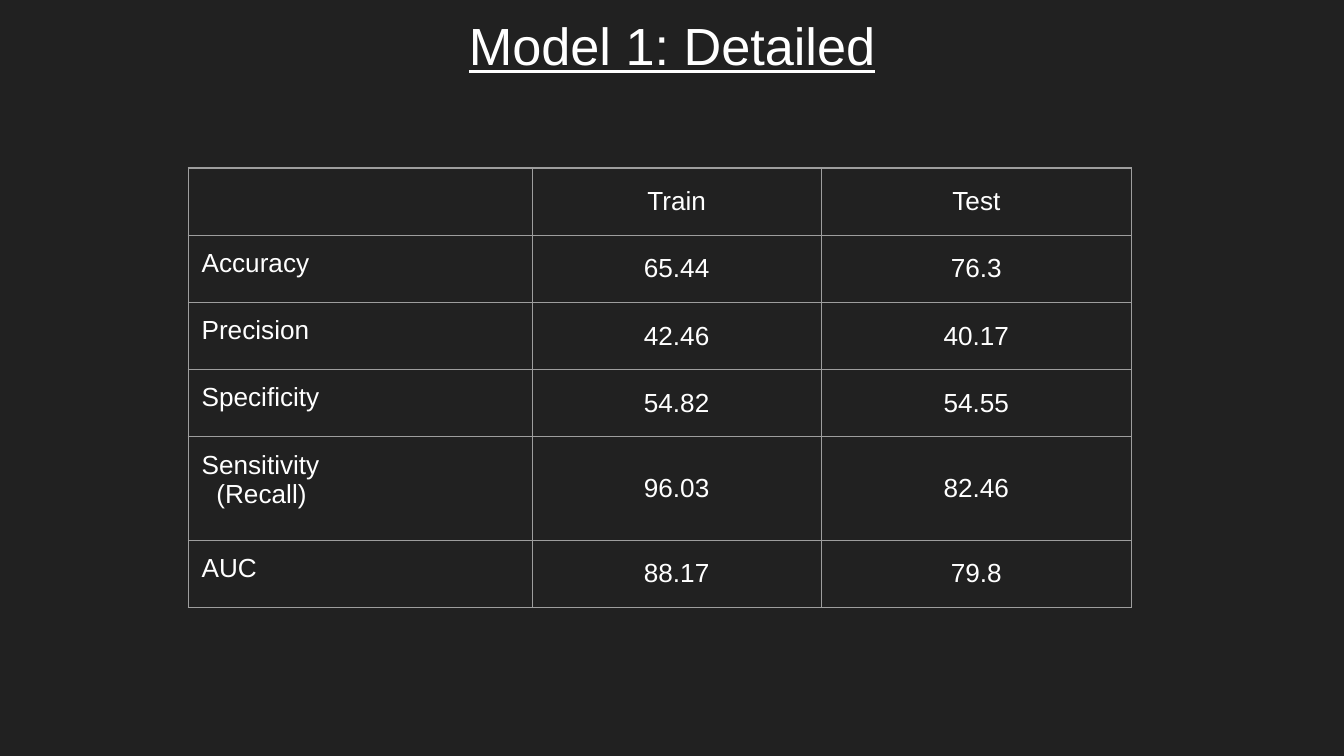
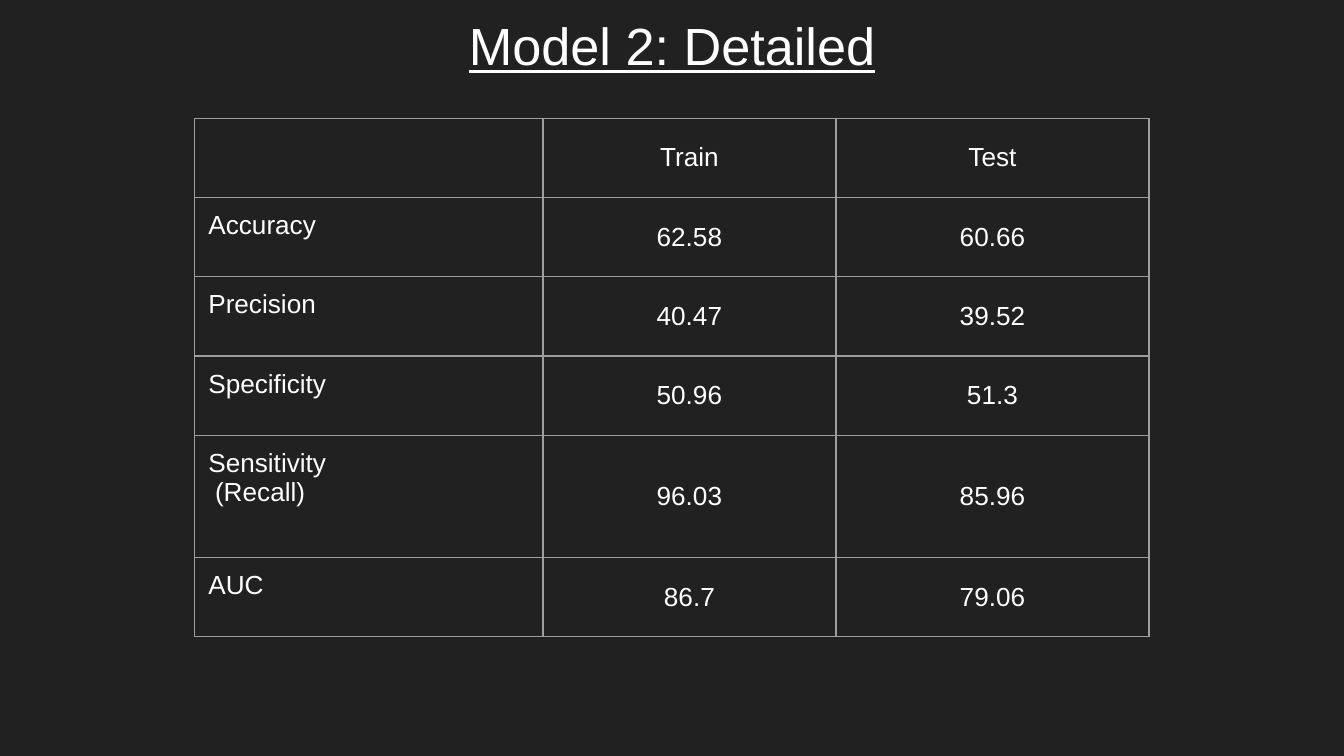
from lxml import etree
from pptx import Presentation
from pptx.dml.color import RGBColor
from pptx.enum.text import MSO_ANCHOR, PP_ALIGN
from pptx.oxml.ns import qn
from pptx.util import Inches, Pt

CENTER, LEFT = PP_ALIGN.CENTER, PP_ALIGN.LEFT
TOP, MIDDLE = MSO_ANCHOR.TOP, MSO_ANCHOR.MIDDLE

SLIDE_WIDTH = Inches(10)
SLIDE_HEIGHT = SLIDE_WIDTH * 9 // 16
FONT = "Arial"
BACKGROUND = "212121"
TEXT_COLOR = "FFFFFF"
BORDER_COLOR = "9E9E9E"
BORDER_WIDTH = 0.75
BORDER_SIDES = ("a:lnL", "a:lnR", "a:lnT", "a:lnB")
INSET = Inches(0.1)

METRICS = ("Accuracy", "Precision", "Specificity", "Sensitivity\n(Recall)", "AUC")
HEADINGS = ("", "Train", "Test")

MODELS = (
    {
        "title": "Model 1: Detailed",
        "origin": (1.4, 1.25),
        "columns": (2.56, 2.15, 2.31),
        "row": 0.5,
        "recall_row": 0.77,
        "recall_indent": 0.11,
        "train": ("65.44", "42.46", "54.82", "96.03", "88.17"),
        "test": ("76.3", "40.17", "54.55", "82.46", "79.8"),
    },
    {
        "title": "Model 2: Detailed",
        "origin": (1.45, 0.88),
        "columns": (2.59, 2.18, 2.33),
        "row": 0.59,
        "recall_row": 0.91,
        "recall_indent": 0.05,
        "train": ("62.58", "40.47", "50.96", "96.03", "86.7"),
        "test": ("60.66", "39.52", "51.3", "85.96", "79.06"),
    },
)


def rgb(value):
    return RGBColor.from_string(value)


def add_run(paragraph, text, size, underline=False):
    run = paragraph.add_run()
    run.text = text
    run.font.name = FONT
    run.font.size = Pt(size)
    run.font.color.rgb = rgb(TEXT_COLOR)
    if underline:
        run.font.underline = True


def set_insets(holder):
    holder.margin_left = holder.margin_right = INSET
    holder.margin_top = holder.margin_bottom = INSET


def add_title(slide, title):
    frame = slide.shapes.add_textbox(0, 0, SLIDE_WIDTH, Inches(0.63)).text_frame
    frame.word_wrap = True
    frame.vertical_anchor = TOP
    set_insets(frame)
    heading = frame.paragraphs[0]
    heading.alignment = CENTER
    add_run(heading, title, 28, underline=True)


def set_borders(cell):
    properties = cell._tc.get_or_add_tcPr()
    for position, side in enumerate(BORDER_SIDES):
        border = etree.Element(qn(side), w=str(Pt(BORDER_WIDTH)))
        fill = etree.SubElement(border, qn("a:solidFill"))
        etree.SubElement(fill, qn("a:srgbClr"), val=BORDER_COLOR)
        properties.insert(position, border)


def fill_cell(cell, text, centered, second_line_indent):
    cell.fill.background()
    set_borders(cell)
    set_insets(cell)
    cell.vertical_anchor = MIDDLE if centered else TOP
    if not text:
        return
    frame = cell.text_frame
    for index, line in enumerate(text.split("\n")):
        paragraph = frame.add_paragraph() if index else frame.paragraphs[0]
        paragraph.alignment = CENTER if centered else LEFT
        if index:
            indent = str(Inches(second_line_indent))
            paragraph._p.get_or_add_pPr().set("marL", indent)
        add_run(paragraph, line, 14)


def add_metrics_table(slide, model):
    rows = [HEADINGS, *zip(METRICS, model["train"], model["test"])]
    heights = [
        model["recall_row"] if "\n" in row[0] else model["row"] for row in rows
    ]
    left, top = model["origin"]
    table = slide.shapes.add_table(
        len(rows), len(HEADINGS), Inches(left), Inches(top),
        Inches(sum(model["columns"])), Inches(sum(heights)),
    ).table
    table.first_row = False
    table.horz_banding = False
    for column, width in zip(table.columns, model["columns"]):
        column.width = Inches(width)
    for row_index, (row, height) in enumerate(zip(rows, heights)):
        table.rows[row_index].height = Inches(height)
        for column_index, text in enumerate(row):
            cell = table.cell(row_index, column_index)
            fill_cell(cell, text, column_index > 0, model["recall_indent"])


def add_model_slide(deck, model):
    slide = deck.slides.add_slide(deck.slide_layouts[6])
    slide.background.fill.solid()
    slide.background.fill.fore_color.rgb = rgb(BACKGROUND)
    add_title(slide, model["title"])
    add_metrics_table(slide, model)


def main():
    deck = Presentation()
    deck.slide_width = SLIDE_WIDTH
    deck.slide_height = SLIDE_HEIGHT
    for model in MODELS:
        add_model_slide(deck, model)
    deck.save("out.pptx")


main()
